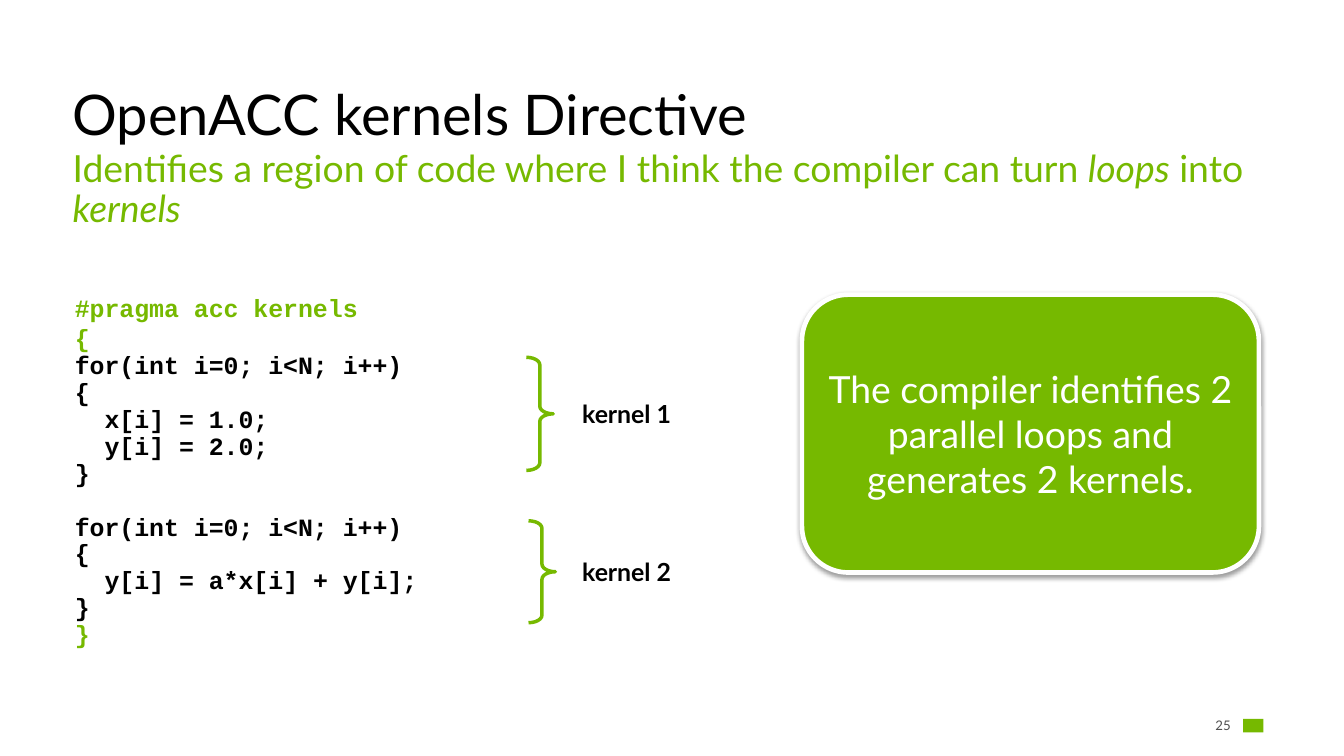
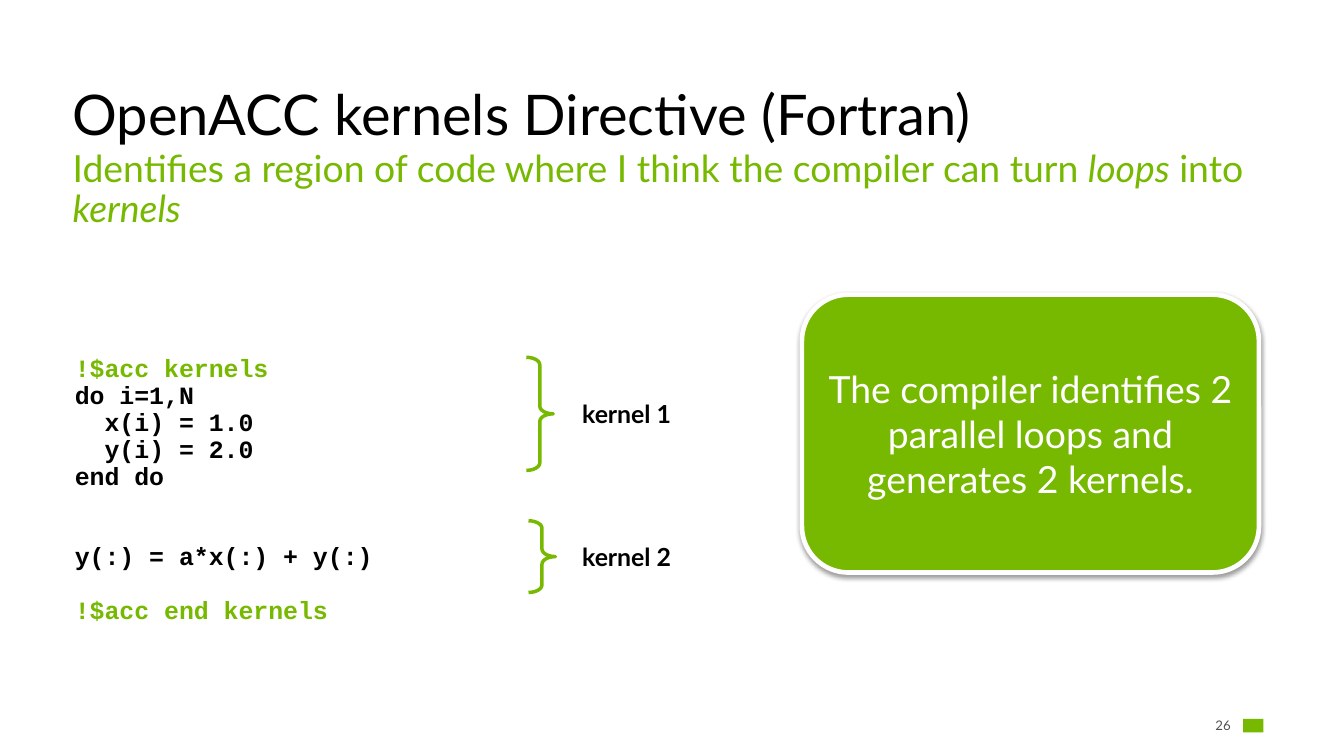
from lxml import etree
from pptx import Presentation
from pptx.dml.color import RGBColor
from pptx.enum.shapes import MSO_SHAPE
from pptx.enum.text import MSO_ANCHOR, PP_ALIGN
from pptx.oxml.ns import qn
from pptx.util import Pt

BRACE = MSO_SHAPE.RIGHT_BRACE
ROUND = MSO_SHAPE.ROUNDED_RECTANGLE
RECT = MSO_SHAPE.RECTANGLE
TOP, MIDDLE, BOTTOM = MSO_ANCHOR.TOP, MSO_ANCHOR.MIDDLE, MSO_ANCHOR.BOTTOM
LEFT, CENTER, RIGHT = PP_ALIGN.LEFT, PP_ALIGN.CENTER, PP_ALIGN.RIGHT

GREEN = RGBColor(0x76, 0xB9, 0x00)
BLACK = RGBColor(0, 0, 0)
WHITE = RGBColor(255, 255, 255)
GREY = RGBColor(0x50, 0x50, 0x50)
SANS, MONO = "Lato", "Courier New"

SUB = [
    ("Identifies a region of code where I think the compiler can turn ", False),
    ("loops", True),
    (" into ", False),
    ("kernels", True),
]
NOTE = "The compiler identifies 2 parallel loops and generates 2 kernels."

# Code rows: text, colour, indent in characters, blank lines above.
PAGES = [
    {
        "title": "OpenACC kernels Directive",
        "page": "25",
        "lead": 1,
        "full": 2,
        "code": [
            ("#pragma acc kernels", GREEN, 0, 0),
            ("{", GREEN, 0, 0),
            ("for(int i=0; i<N; i++)", BLACK, 0, 0),
            ("{", BLACK, 0, 0),
            ("x[i] = 1.0;", BLACK, 2, 0),
            ("y[i] = 2.0;", BLACK, 2, 0),
            ("}", BLACK, 0, 0),
            ("for(int i=0; i<N; i++)", BLACK, 0, 1),
            ("{", BLACK, 0, 0),
            ("y[i] = a*x[i] + y[i];", BLACK, 2, 0),
            ("}", BLACK, 0, 0),
            ("}", GREEN, 0, 0),
        ],
        "marks": [("kernel 1", 338.4, 229.7, 72.7), ("kernel 2", 339.8, 334.8, 65.5)],
    },
    {
        "title": "OpenACC kernels Directive (Fortran)",
        "page": "26",
        "lead": 3,
        "full": 1,
        "code": [
            ("!$acc kernels", GREEN, 0, 0),
            ("do i=1,N", BLACK, 0, 0),
            ("x(i) = 1.0", BLACK, 2, 0),
            ("y(i) = 2.0", BLACK, 2, 0),
            ("end do", BLACK, 0, 0),
            ("y(:) = a*x(:) + y(:)", BLACK, 0, 2),
            ("!$acc end kernels", GREEN, 0, 1),
        ],
        "marks": [("kernel 1", 338.4, 229.7, 72.7), ("kernel 2", 339.8, 334.8, 46.1)],
    },
]

EDGE, WIDE = 39.6, 785.5
LINE, TIGHT, CHAR = 19.2, 17.28, 9.6


def style(run, size, color, font=SANS, bold=False, slant=False):
    run.font.name = font
    run.font.size = Pt(size)
    run.font.color.rgb = color
    run.font.bold = bold
    run.font.italic = slant


def frame(slide, box, anchor=TOP):
    body = slide.shapes.add_textbox(*map(Pt, box)).text_frame
    body.word_wrap = True
    body.vertical_anchor = anchor
    return body


def write(body, text, size, color, align=LEFT, bold=False):
    body.text = text
    par = body.paragraphs[0]
    par.alignment = align
    style(par.runs[0], size, color, bold=bold)
    return par


def shape(slide, kind, box):
    item = slide.shapes.add_shape(kind, *map(Pt, box))
    item.shadow.inherit = False
    return item


def head(slide, title):
    body = frame(slide, (EDGE, 49.7, WIDE, 48.9), BOTTOM)
    write(body, title, 36, BLACK).line_spacing = 0.9
    par = frame(slide, (EDGE, 92.9, WIDE, 41)).paragraphs[0]
    par.line_spacing = 0.9
    par.space_before = par.space_after = Pt(9)
    for text, slant in SUB:
        run = par.add_run()
        run.text = text
        style(run, 24, GREEN, slant=slant)


def listing(slide, page):
    body = frame(slide, (41, 165.6, 783.4, 293))
    body.margin_top = Pt(3.6 + page["lead"] * LINE)
    for i, (text, color, indent, gap) in enumerate(page["code"]):
        par = body.add_paragraph() if i else body.paragraphs[0]
        par.text = text
        par.line_spacing = Pt(LINE if i < page["full"] else TIGHT)
        if gap:
            par.space_before = Pt(gap * TIGHT)
        if indent:
            par._p.get_or_add_pPr().set("marL", str(Pt(indent * CHAR)))
        style(par.runs[0], 16, color, MONO, True)


def mark(slide, text, left, top, high):
    brace = shape(slide, BRACE, (left, top, 17.3, high))
    brace.adjustments[0] = 0.28
    brace.adjustments[1] = 0.5
    brace.fill.background()
    brace.line.color.rgb = GREEN
    brace.line.width = Pt(2.25)
    body = frame(slide, (367.2, top + high / 2 - 13.3, 96.5, 26.6))
    write(body, text, 16, BLACK, bold=True)


def callout(slide):
    card = shape(slide, ROUND, (515.5, 189.4, 293.8, 178.6))
    card.fill.solid()
    card.fill.fore_color.rgb = GREEN
    card.line.color.rgb = WHITE
    card.line.width = Pt(3)
    effects = card._element.spPr.find(qn("a:effectLst"))
    cast = etree.SubElement(effects, qn("a:outerShdw"), blurRad=str(Pt(3.1)),
                            dist=str(Pt(1.6)), dir="5400000", rotWithShape="0")
    tint = etree.SubElement(cast, qn("a:srgbClr"), val="000000")
    etree.SubElement(tint, qn("a:alpha"), val="38000")
    body = card.text_frame
    body.word_wrap = True
    body.vertical_anchor = MIDDLE
    write(body, NOTE, 24, WHITE, CENTER)


def foot(slide, page):
    body = frame(slide, (769, 459.4, 25.2, 13), MIDDLE)
    body.margin_left = body.margin_top = body.margin_bottom = 0
    body.margin_right = Pt(3)
    write(body, page, 8.5, GREY, RIGHT)
    badge = shape(slide, RECT, (799.2, 462.2, 13, 8.6))
    badge.fill.solid()
    badge.fill.fore_color.rgb = GREEN
    badge.line.fill.background()


def main():
    deck = Presentation()
    deck.slide_width, deck.slide_height = Pt(864), Pt(486)
    for page in PAGES:
        slide = deck.slides.add_slide(deck.slide_layouts[6])
        foot(slide, page["page"])
        head(slide, page["title"])
        listing(slide, page)
        for item in page["marks"]:
            mark(slide, *item)
        callout(slide)
    deck.save("out.pptx")


if __name__ == "__main__":
    main()
